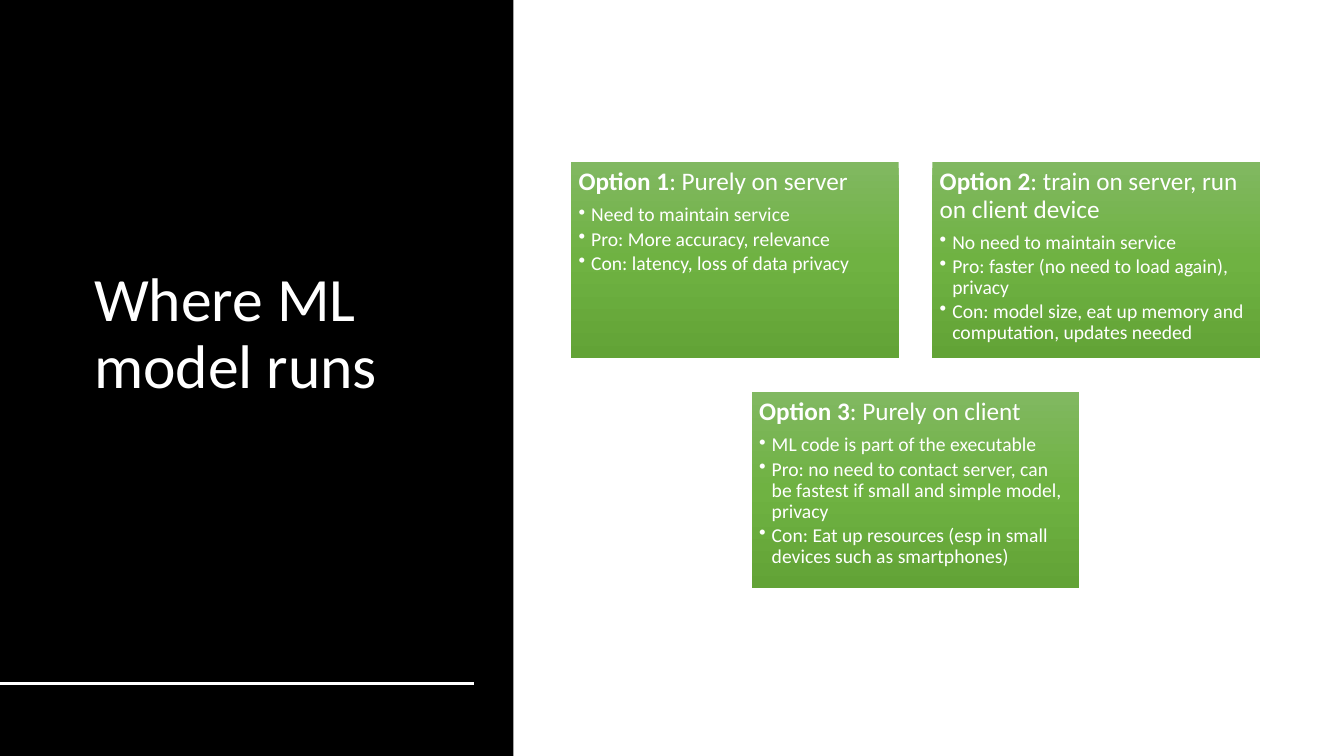
"""Build a slide comparing three places where an ML model can run."""
from copy import deepcopy
from pptx import Presentation, util as u
from pptx.dml.color import RGBColor
from pptx.enum import shapes, text
from pptx.oxml import ns, xmlchemy as xc

PX = 9525
BLACK = RGBColor(0x00, 0x00, 0x00)
WHITE = RGBColor(0xFF, 0xFF, 0xFF)
GREENS = [(0, RGBColor(0x81, 0xB8, 0x61)), (0.5, RGBColor(0x6F, 0xB2, 0x42)),
          (1, RGBColor(0x62, 0xA3, 0x36))]


def assign(item, values):
    for key, value in values.items():
        setattr(item, key, value)


def write(para, words, size, bold=False):
    run = para.add_run()
    run.text = words
    assign(run.font, {"name": "Calibri", "size": u.Pt(size), "bold": bold})
    run.font.color.rgb = WHITE


deck = Presentation()
assign(deck, {"slide_width": 1280 * PX, "slide_height": 720 * PX})
slide = deck.slides.add_slide(deck.slide_layouts[5])

panel = slide.shapes.add_shape(shapes.MSO_SHAPE.RECTANGLE, 0, 0, 489 * PX, 720 * PX)
panel.shadow.inherit = False
panel.fill.solid()
panel.fill.fore_color.rgb = BLACK
panel.line.fill.background()

title = slide.shapes.title
panel._element.addnext(title._element)
assign(title, {"left": 80 * PX, "top": 59 * PX, "width": 374 * PX, "height": 520 * PX})
assign(title.text_frame, {"word_wrap": True, "auto_size": text.MSO_AUTO_SIZE.NONE,
                          "vertical_anchor": text.MSO_ANCHOR.MIDDLE})
head = title.text_frame.paragraphs[0]
assign(head, {"alignment": text.PP_ALIGN.LEFT, "line_spacing": 0.9})
write(head, "Where ML model runs", 44)

rule = slide.shapes.add_connector(shapes.MSO_CONNECTOR.STRAIGHT, 0, 651 * PX, 451 * PX, 651 * PX)
rule.line.color.rgb = WHITE
rule.line.width = u.Pt(2)
rule._element.spPr.append(xc.OxmlElement("a:effectLst"))

WIDE, HIGH, GAP = 312, 187, 32
LEFT, TOP = 544, 154
STEP = WIDE + GAP
cards = [
    (0, 0, "Option 1", ": Purely on server",
     ["Need to maintain service", "Pro: More accuracy, relevance",
      "Con: latency, loss of data privacy"]),
    (STEP, 0, "Option 2", ": train on server, run on client device",
     ["No need to maintain service", "Pro: faster (no need to load again), privacy",
      "Con: model size, eat up memory and computation, updates needed"]),
    (STEP // 2, HIGH + GAP, "Option 3", ": Purely on client",
     ["ML code is part of the executable",
      "Pro: no need to contact server, can be fastest if small and simple model, privacy",
      "Con: Eat up resources (esp in small devices such as smartphones)"]),
]
base = {"alignment": text.PP_ALIGN.LEFT, "line_spacing": 0.9}

for across, down, name, place, points in cards:
    card = slide.shapes.add_shape(shapes.MSO_SHAPE.RECTANGLE, (LEFT + across) * PX,
                                  (TOP + down) * PX, WIDE * PX, HIGH * PX)
    card.shadow.inherit = False
    card.line.fill.background()
    card.fill.gradient()
    card.fill.gradient_angle = 270
    stops = card._element.spPr.find(ns.qn("a:gradFill")).find(ns.qn("a:gsLst"))
    stops.append(deepcopy(stops[0]))
    for stop, (spot, green) in zip(card.fill.gradient_stops, GREENS):
        stop.position = spot
        stop.color.rgb = green

    frame = card.text_frame
    assign(frame, {"word_wrap": True, "vertical_anchor": text.MSO_ANCHOR.TOP})
    assign(frame, {f"margin_{side}": 7 * PX for side in ("left", "top", "right", "bottom")})
    para = frame.paragraphs[0]
    assign(para, {**base, "space_after": u.Pt(6.3)})
    write(para, name, 18, True)
    write(para, place, 18)
    for point in points:
        para = frame.add_paragraph()
        props = para._p.get_or_add_pPr()
        props.set("marL", str(12 * PX))
        props.set("indent", str(-12 * PX))
        mark = xc.OxmlElement("a:buChar")
        mark.set("char", "•")
        props.append(mark)
        assign(para, {**base, "level": 1, "space_after": u.Pt(2.1)})
        write(para, point, 14)

deck.save("out.pptx")
